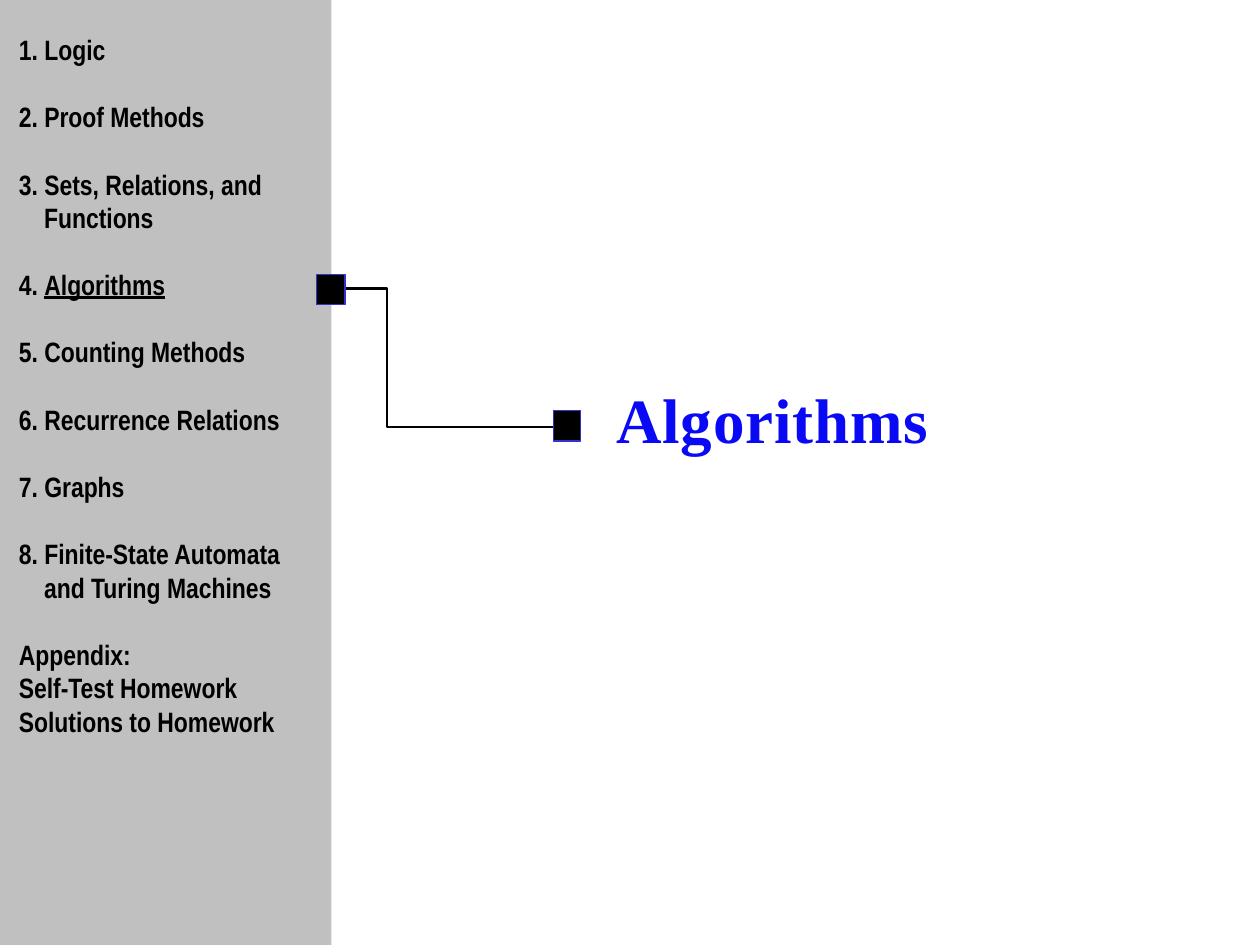
"""Build a chapter divider slide with a contents sidebar."""
from pptx import Presentation
from pptx.dml.color import RGBColor
from pptx.enum.shapes import MSO_SHAPE
from pptx.enum.text import MSO_ANCHOR, MSO_AUTO_SIZE, PP_ALIGN
from pptx.oxml.ns import qn
from pptx.util import Inches, Pt

RECT = MSO_SHAPE.RECTANGLE
TOP = MSO_ANCHOR.TOP
NO_FIT = MSO_AUTO_SIZE.NONE
LEFT = PP_ALIGN.LEFT

CHAPTERS = [
    "Logic",
    "Proof Methods",
    "Sets, Relations, and Functions",
    "Algorithms",
    "Counting Methods",
    "Recurrence Relations",
    "Graphs",
    "Finite-State Automata and Turing Machines",
]
CURRENT = "Algorithms"
APPENDIX = ["Appendix:", "Self-Test Homework", "Solutions to Homework"]

THEME = {
    "sidebar": "C0C0C0",
    "ink": "000000",
    "marker_line": "3333CC",
    "title": {"name": "Times New Roman", "size": Pt(36), "bold": True},
    "title_color": "0909F6",
    "list": {"name": "Arial Narrow", "size": Pt(16), "bold": True},
    "list_gap": Pt(19.2),
    "hang": Inches(0.2),
}

SIDEBAR = (-0.01, 0, 2.64, 7.5)
MARKERS = [(4.39, 3.26, 0.22, 0.24), (2.51, 2.18, 0.23, 0.24)]
PATH = [(2.54, 2.29), (3.07, 2.29), (3.07, 3.39), (4.39, 3.39)]
TITLE_BOX = (4.79, 2.97, 2.71, 0.71)
LIST_BOX = (0.05, 0.21, 2.61, 6.03)


def rgb(key):
    return RGBColor.from_string(THEME[key])


def add_rect(s, box, fill, line=None):
    sp = s.shapes.add_shape(RECT, *map(Inches, box))
    sp.shadow.inherit = False
    sp.fill.solid()
    sp.fill.fore_color.rgb = rgb(fill)
    if line:
        sp.line.color.rgb = rgb(line)
        sp.line.width = Pt(0.75)
    else:
        sp.line.fill.background()


def add_path(s):
    points = [(Inches(x), Inches(y)) for x, y in PATH]
    builder = s.shapes.build_freeform(*points[0])
    builder.add_line_segments(points[1:], close=False)
    sp = builder.convert_to_shape()
    sp.shadow.inherit = False
    sp.fill.background()
    sp.line.color.rgb = rgb("ink")
    sp.line.width = Pt(1.5)


def place(sp, box, wrap):
    sp.left, sp.top, sp.width, sp.height = map(Inches, box)
    tf = sp.text_frame
    settings = {"word_wrap": wrap, "auto_size": NO_FIT, "vertical_anchor": TOP}
    for name, value in settings.items():
        setattr(tf, name, value)
    return tf


def add_run(p, text, style, color, underline=False):
    r = p.add_run()
    r.text = text
    for name, value in THEME[style].items():
        setattr(r.font, name, value)
    r.font.color.rgb = rgb(color)
    if underline:
        r.font.underline = True
    return r


def add_title(s):
    p = place(s.shapes.title, TITLE_BOX, False).paragraphs[0]
    p.alignment = LEFT
    r = add_run(p, CURRENT, "title", "title_color")
    r.font._element.set("spc", "50")


def add_list(s):
    body = s.placeholders[1]
    s.shapes._spTree.append(body._element)
    tf = place(body, LIST_BOX, True)
    tf.margin_right = Inches(0.2)
    items = [(f"{n}. ", name, n > 1) for n, name in enumerate(CHAPTERS, 1)]
    items += [("", line, i == 0) for i, line in enumerate(APPENDIX)]
    for i, (number, text, gap) in enumerate(items):
        p = tf.add_paragraph() if i else tf.paragraphs[0]
        p.alignment = LEFT
        p.space_before = THEME["list_gap"] if gap else Pt(0)
        hang = THEME["hang"] if number else 0
        pPr = p._p.get_or_add_pPr()
        pPr.set("marL", str(hang))
        pPr.set("indent", str(-hang))
        pPr.append(pPr.makeelement(qn("a:buNone"), {}))
        if number:
            add_run(p, number, "list", "ink")
        add_run(p, text, "list", "ink", underline=text == CURRENT)


def main():
    prs = Presentation()
    prs.slide_width, prs.slide_height = Inches(10), Inches(7.5)
    s = prs.slides.add_slide(prs.slide_layouts[1])
    add_title(s)
    add_rect(s, SIDEBAR, "sidebar")
    add_path(s)
    for box in MARKERS:
        add_rect(s, box, "ink", "marker_line")
    add_list(s)
    prs.save("out.pptx")


if __name__ == "__main__":
    main()
